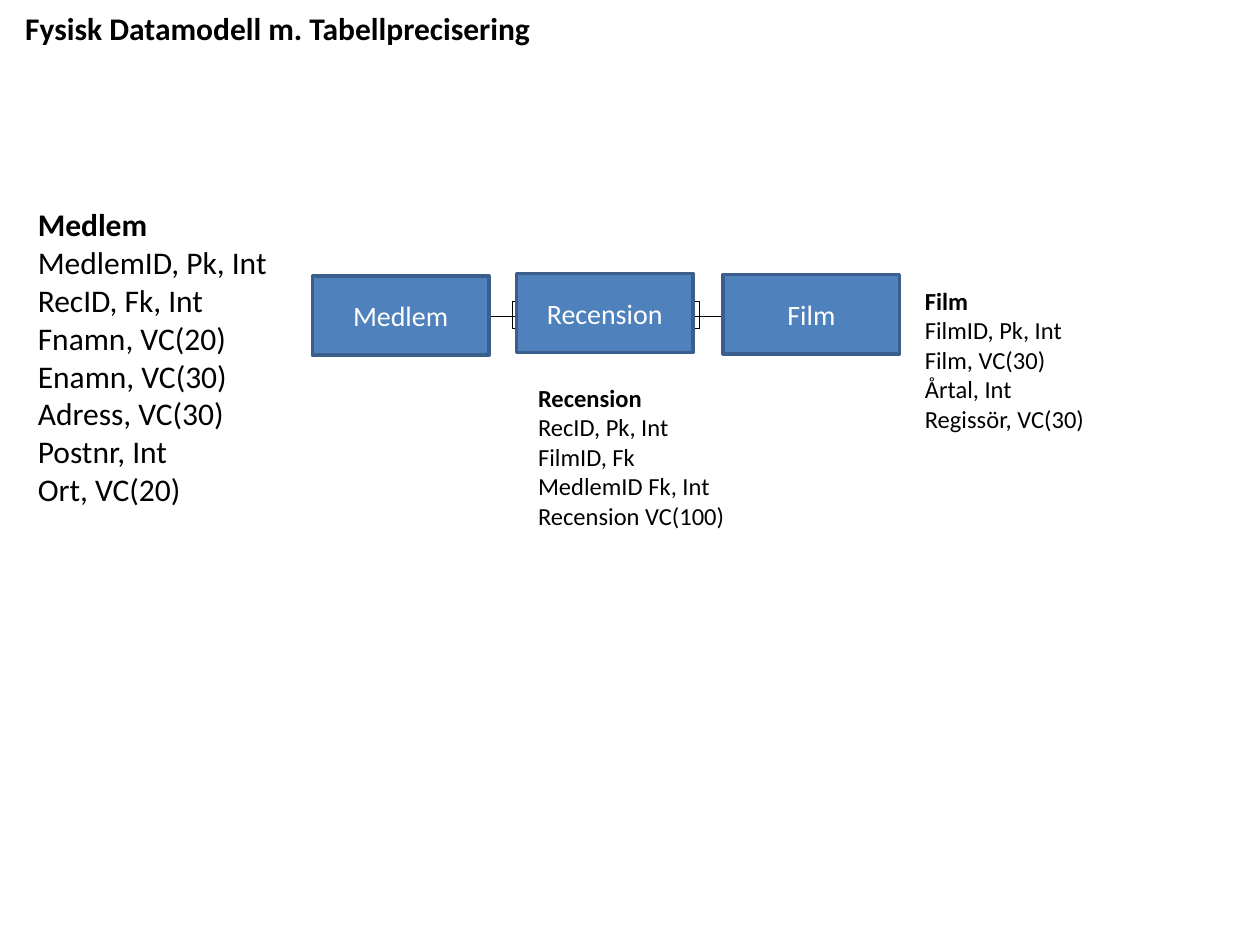
from dataclasses import dataclass

from lxml.etree import SubElement
from pptx import Presentation
from pptx.dml.color import RGBColor
from pptx.enum.shapes import MSO_CONNECTOR, MSO_SHAPE
from pptx.enum.text import MSO_ANCHOR, MSO_AUTO_SIZE, PP_ALIGN
from pptx.oxml.ns import qn
from pptx.shapes.autoshape import Shape
from pptx.slide import Slide
from pptx.util import Inches, Pt

BLACK = RGBColor(0x00, 0x00, 0x00)
WHITE = RGBColor(0xFF, 0xFF, 0xFF)
BLUE = RGBColor(0x4F, 0x81, 0xBD)
DARK_BLUE = RGBColor(0x3A, 0x5F, 0x8C)
FONT = "Calibri"
COMPARISON_LAYOUT = 4
ENTITY_WIDTH, ENTITY_HEIGHT = 1.4, 0.63
LINK_Y = 2.51
END_BAR_HEIGHT = 0.22


@dataclass(frozen=True)
class Entity:
    name: str
    left: float
    top: float


@dataclass(frozen=True)
class Link:
    start: float
    end: float
    bar_left: float
    bar_width: float


@dataclass(frozen=True)
class FieldList:
    placeholder: int
    box: tuple[float, float, float, float]
    size: int
    lines: tuple[str, ...]


LINKS = (Link(3.65, 4.1, 4.07, 0.03), Link(6.02, 5.51, 5.51, 0.04))
ENTITIES = (
    Entity("Medlem", 2.48, 2.19),
    Entity("Recension", 4.1, 2.17),
    Entity("Film", 5.74, 2.18),
)
FIELD_LISTS = (
    FieldList(1, (0.2, 1.58, 4.9, 3.13), 18, (
        "Medlem", "MedlemID, Pk, Int", "RecID, Fk, Int", "Fnamn, VC(20)",
        "Enamn, VC(30)", "Adress, VC(30)", "Postnr, Int", "Ort, VC(20)")),
    FieldList(2, (4.17, 2.99, 2.72, 1.28), 14, (
        "Recension", "RecID, Pk, Int", "FilmID, Fk", "MedlemID Fk, Int",
        "Recension VC(100)")),
    FieldList(3, (7.24, 2.22, 2.72, 1.28), 14, (
        "Film", "FilmID, Pk, Int", "Film, VC(30)", "Årtal, Int",
        "Regissör, VC(30)")),
)


def write_text(shape: Shape, *lines: str, size: int, color: RGBColor = BLACK,
               bold_first: bool = False, align: PP_ALIGN = PP_ALIGN.LEFT,
               anchor: MSO_ANCHOR = MSO_ANCHOR.TOP) -> None:
    """Write unbulleted lines, optionally with a bold first line."""
    frame = shape.text_frame
    frame.text = "\n".join(lines)
    frame.word_wrap = True
    frame.auto_size = MSO_AUTO_SIZE.NONE
    frame.vertical_anchor = anchor
    for index, paragraph in enumerate(frame.paragraphs):
        paragraph.alignment = align
        paragraph.space_before = Pt(0)
        properties = paragraph._p.get_or_add_pPr()
        properties.set("marL", "0")
        properties.set("indent", "0")
        SubElement(properties, qn("a:buNone"))
        font = paragraph.runs[0].font
        font.name, font.size = FONT, Pt(size)
        font.bold = bold_first and index == 0
        font.color.rgb = color


def move(shape: Shape, left: float, top: float, width: float, height: float) -> None:
    """Place a shape by lengths in inches."""
    shape.left, shape.top = Inches(left), Inches(top)
    shape.width, shape.height = Inches(width), Inches(height)


def add_rectangle(slide: Slide, left: float, top: float, width: float, height: float,
                  line_color: RGBColor, line_width: float) -> Shape:
    """Add an outlined rectangle without fill or shadow."""
    shape = slide.shapes.add_shape(MSO_SHAPE.RECTANGLE, Inches(left), Inches(top),
                                   Inches(width), Inches(height))
    shape.shadow.inherit = False
    shape.fill.background()
    shape.line.color.rgb = line_color
    shape.line.width = Pt(line_width)
    return shape


def add_link(slide: Slide, link: Link) -> None:
    """Draw a relation line with its end bar."""
    connector = slide.shapes.add_connector(
        MSO_CONNECTOR.STRAIGHT, Inches(link.start), Inches(LINK_Y),
        Inches(link.end), Inches(LINK_Y))
    connector.line.color.rgb = BLACK
    connector.line.width = Pt(0.75)
    SubElement(connector._element.spPr, qn("a:effectLst"))
    add_rectangle(slide, link.bar_left, LINK_Y - END_BAR_HEIGHT / 2 - 0.01,
                  link.bar_width, END_BAR_HEIGHT, BLACK, 0.75)


def add_entity(slide: Slide, entity: Entity) -> None:
    """Draw an entity box with its name."""
    shape = add_rectangle(slide, entity.left, entity.top, ENTITY_WIDTH,
                          ENTITY_HEIGHT, DARK_BLUE, 2)
    shape.fill.solid()
    shape.fill.fore_color.rgb = BLUE
    write_text(shape, entity.name, size=16, color=WHITE,
               align=PP_ALIGN.CENTER, anchor=MSO_ANCHOR.MIDDLE)


def fill_list(slide: Slide, fields: FieldList) -> None:
    """Fill a body placeholder with a table's fields."""
    shape = slide.placeholders[fields.placeholder]
    move(shape, *fields.box)
    write_text(shape, *fields.lines, size=fields.size, bold_first=True)


def main() -> None:
    """Build and save the data model slide."""
    presentation = Presentation()
    presentation.slide_width, presentation.slide_height = Inches(10), Inches(7.5)
    slide = presentation.slides.add_slide(presentation.slide_layouts[COMPARISON_LAYOUT])
    title = slide.shapes.title
    move(title, 0.1, 0.02, 7.09, 0.4)
    write_text(title, "Fysisk Datamodell m. Tabellprecisering", size=18, bold_first=True)
    unused = slide.placeholders[4]._element
    unused.getparent().remove(unused)
    for link in LINKS:
        add_link(slide, link)
    for entity in ENTITIES:
        add_entity(slide, entity)
    for fields in FIELD_LISTS:
        fill_list(slide, fields)
    presentation.save("out.pptx")


main()
